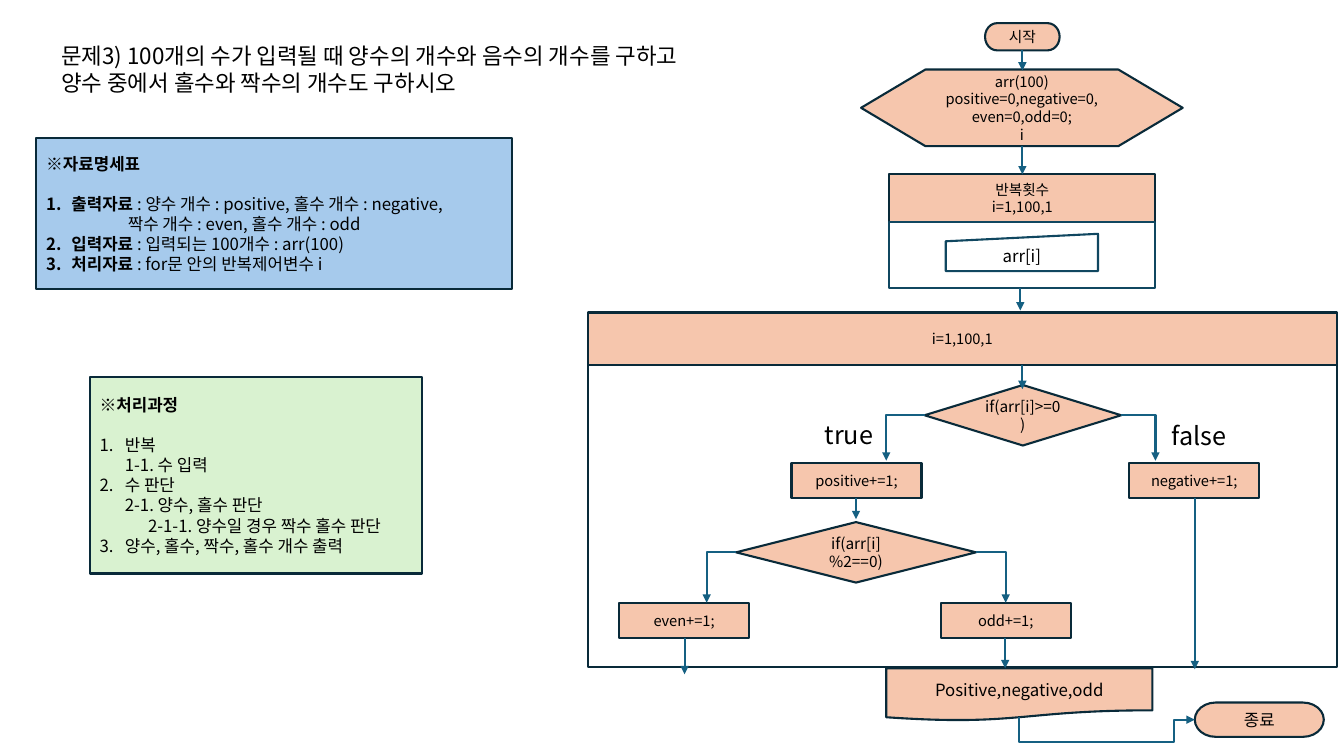
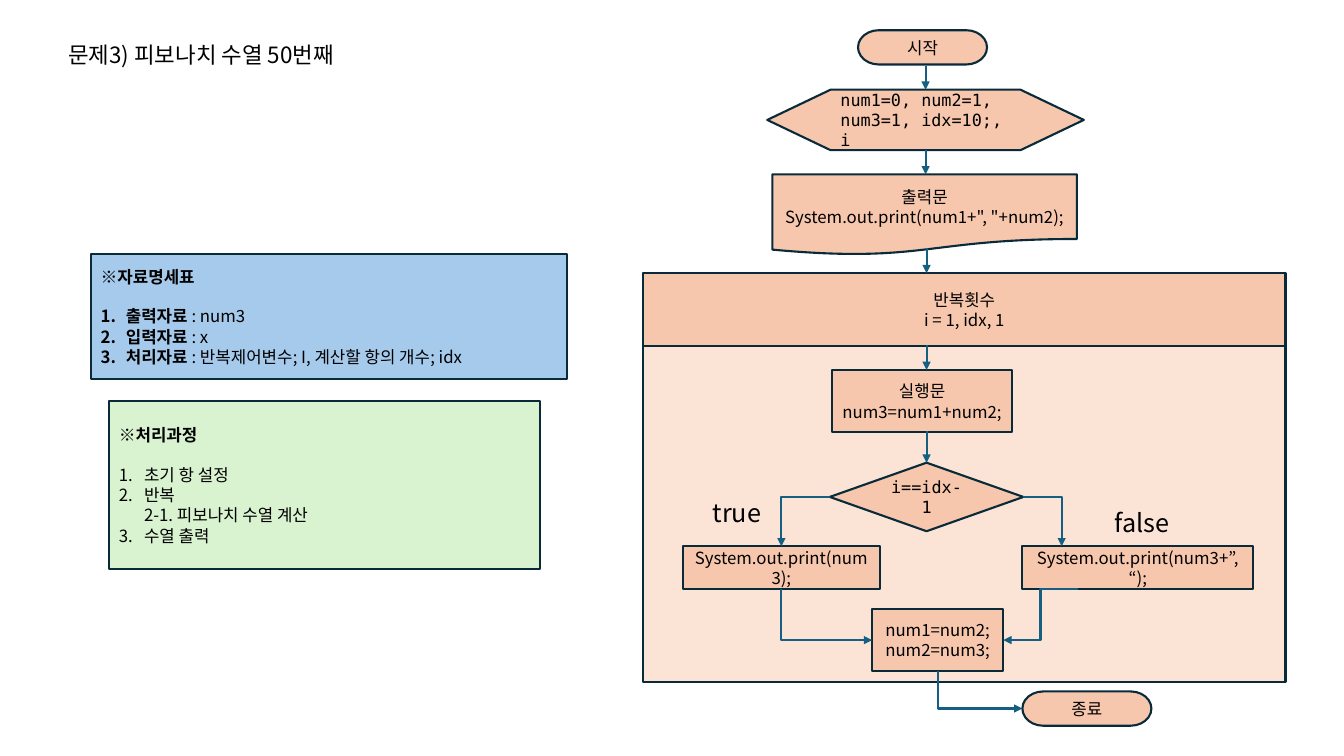
"""Build two flowchart slides with data and process notes."""
from lxml import etree
from pptx import Presentation
from pptx.dml.color import RGBColor
from pptx.enum.shapes import MSO_CONNECTOR, MSO_SHAPE
from pptx.enum.text import PP_ALIGN
from pptx.oxml.ns import qn
from pptx.util import Pt

PX = 9144
SANS, MONO = "Noto Sans CJK KR", "DejaVu Sans Mono"
BLACK, NAVY, TEAL, DEEP_TEAL = "000000", "092A39", "156082", "104760"
PEACH, PALE_PEACH, BLUE, GREEN = "F6C6AD", "FBE3D6", "A6CAEC", "D9F2D0"
LEFT, CENTER = PP_ALIGN.LEFT, PP_ALIGN.CENTER
STRAIGHT, ELBOW = MSO_CONNECTOR.STRAIGHT, MSO_CONNECTOR.ELBOW
PROCESS = MSO_SHAPE.RECTANGLE
TERMINATOR = MSO_SHAPE.FLOWCHART_TERMINATOR
PREPARATION = MSO_SHAPE.FLOWCHART_PREPARATION
DECISION = MSO_SHAPE.FLOWCHART_DECISION
DOCUMENT = MSO_SHAPE.FLOWCHART_DOCUMENT
MANUAL_INPUT = MSO_SHAPE.FLOWCHART_MANUAL_INPUT
SITE_TOP, SITE_LEFT, SITE_BOTTOM, SITE_RIGHT = range(4)
CORNER, DOUBLE_CORNER = "bentConnector2", "bentConnector4"


def emu(px):
    """Turn px into EMU."""
    return round(px * PX)


def rgb(hex_code):
    """Turn a hex string into a colour."""
    return RGBColor.from_string(hex_code)


def set_font(paragraph, size, face=SANS, bold=False):
    """Give a paragraph its font."""
    font = paragraph.font
    font.size, font.name, font.bold = Pt(size), face, bold
    font.color.rgb = rgb(BLACK)
    etree.SubElement(font._element, qn("a:ea"), typeface=face)


def step(slide, preset, area, text="", size=12, fill=PEACH, line=NAVY,
         face=SANS, align=CENTER):
    """Add one outlined flowchart symbol with its text."""
    symbol = slide.shapes.add_shape(preset, *map(emu, area))
    symbol.shadow.inherit = False
    if fill:
        symbol.fill.solid()
        symbol.fill.fore_color.rgb = rgb(fill)
    else:
        symbol.fill.background()
    symbol.line.color.rgb = rgb(line)
    symbol.line.width = Pt(1.5)
    if text:
        symbol.text_frame.text = text
        for paragraph in symbol.text_frame.paragraphs:
            paragraph.alignment = align
            set_font(paragraph, size, face)
    return symbol


def caption(slide, area, text, size):
    """Add unframed text, such as a title or a branch label."""
    frame = slide.shapes.add_textbox(*map(emu, area)).text_frame
    frame.word_wrap = True
    frame.text = text
    for paragraph in frame.paragraphs:
        set_font(paragraph, size)


def indent(paragraph, margin, number=None):
    """Indent a note line and number it if a number is given."""
    props = paragraph._p.get_or_add_pPr()
    props.set("marL", str(emu(margin)))
    props.set("indent", str(emu(-25 if number else 0)))
    if number:
        etree.SubElement(props, qn("a:buFont"), typeface="+mj-lt")
        etree.SubElement(props, qn("a:buAutoNum"), type="arabicPeriod",
                         startAt=str(number))


def note(slide, area, fill, heading, items):
    """Add a panel with a heading and numbered (label, text, sublines) items."""
    frame = step(slide, PROCESS, area, heading, fill=fill, align=LEFT).text_frame
    first = frame.paragraphs[0]
    first.font.bold = True
    first.space_after = Pt(14)
    for number, (label, text, sublines) in enumerate(items, 1):
        paragraph = frame.add_paragraph()
        paragraph.alignment = LEFT
        indent(paragraph, 25, number)
        set_font(paragraph, 12)
        if label:
            paragraph.add_run().text = label + " "
            paragraph.runs[0].font.bold = True
        paragraph.add_run().text = text
        for margin, subtext in sublines:
            subline = frame.add_paragraph()
            subline.text = subtext
            subline.alignment = LEFT
            indent(subline, margin)
            set_font(subline, 12)


def turn_down(link, start, end):
    """Make a bent arrow leave downwards and arrive from the left."""
    (x1, y1), (x2, y2) = start, end
    across, down = x2 - x1, y2 - y1
    link.left = emu((x1 + x2 - down) / 2)
    link.top = emu((y1 + y2 - across) / 2)
    link.width, link.height = emu(down), emu(across)
    frame = link._element.spPr.find(qn("a:xfrm"))
    frame.attrib.update({"rot": "16200000", "flipH": "1", "flipV": "0"})


def arrow(slide, start, end, bend=None, origin=None, target=None,
          down_first=False, adjust=()):
    """Add an arrow, straight or bent, glued to the given (symbol, site) ends."""
    link = slide.shapes.add_connector(
        ELBOW if bend else STRAIGHT, *map(emu, start + end))
    if origin:
        link.begin_connect(*origin)
    if target:
        link.end_connect(*target)
    if down_first:
        turn_down(link, start, end)
    link.line.color.rgb = rgb(TEAL)
    link.line.width = Pt(1.5)
    props = link._element.spPr
    etree.SubElement(props.find(qn("a:ln")), qn("a:tailEnd"), type="triangle")
    etree.SubElement(props, qn("a:effectLst"))
    if bend:
        geometry = props.find(qn("a:prstGeom"))
        geometry.set("prst", bend)
        for index, share in enumerate(adjust, 1):
            etree.SubElement(geometry.find(qn("a:avLst")), qn("a:gd"),
                             name=f"adj{index}", fmla=f"val {round(share * 100000)}")


def drops(slide, lines):
    """Add vertical arrows given as (x, top, bottom)."""
    for x, top, bottom in lines:
        arrow(slide, (x, top), (x, bottom))


def counting_slide(slide):
    """Draw the flowchart that counts signs and parities."""
    caption(slide, (51, 37, 702, 64),
            "문제3) 100개의 수가 입력될 때 양수의 개수와 음수의 개수를 구하고\n"
            "양수 중에서 홀수와 짝수의 개수도 구하시오", 16)
    note(slide, (36, 137, 472, 150), BLUE, "※자료명세표", [
        ("출력자료", ": 양수 개수 : positive, 홀수 개수 : negative,",
         [(81, "짝수 개수 : even, 홀수 개수 : odd")]),
        ("입력자료", ": 입력되는 100개수 : arr(100)", []),
        ("처리자료", ": for문 안의 반복제어변수 i", [])])
    note(slide, (89, 374, 330, 195), GREEN, "※처리과정", [
        ("", "반복", [(25, "1-1. 수 입력")]),
        ("", "수 판단", [(25, "2-1. 양수, 홀수 판단"),
                      (48, "2-1-1. 양수일 경우 짝수 홀수 판단")]),
        ("", "양수, 홀수, 짝수, 홀수 개수 출력", [])])

    step(slide, TERMINATOR, (977, 23, 74, 27), "시작", 10.5)
    step(slide, PREPARATION, (854, 69, 319, 76),
         "arr(100)\npositive=0,negative=0,\neven=0,odd=0;\ni", 10.5)
    step(slide, PROCESS, (882, 173, 264, 47), "반복횟수\ni=1,100,1", 10.5)
    step(slide, PROCESS, (882, 220, 264, 66), fill=None, line=DEEP_TEAL)
    step(slide, MANUAL_INPUT, (938, 232, 151, 37), "arr[i]",
         fill=None, line=DEEP_TEAL)
    step(slide, PROCESS, (583, 310, 743, 52), "i=1,100,1", 10.5)
    step(slide, PROCESS, (583, 362, 743, 300), fill=None)
    sign = step(slide, DECISION, (917, 382, 195, 60), "if(arr[i]>=0)", 11)
    parity = step(slide, DECISION, (730, 518, 238, 60), "if(arr[i]%2==0)", 11)
    for left, top, text in ((785, 459, "positive+=1;"), (1120, 459, "negative+=1;"),
                            (614, 598, "even+=1;")):
        step(slide, PROCESS, (left, top, 129, 35), text, 10.5)
    odd = step(slide, PROCESS, (933, 598, 129, 35), "odd+=1;", 10.5)
    counts = step(slide, DOCUMENT, (879, 663, 264, 52), "Positive,negative,odd")
    finish = step(slide, TERMINATOR, (1185, 697, 128, 34), "종료")
    caption(slide, (808, 411, 97, 40), "true", 18)
    caption(slide, (1152, 412, 97, 40), "false", 18)

    drops(slide, [(1014, 50, 70), (1014, 145, 173), (1012, 286, 308),
                  (1014, 362, 386), (849, 494, 515), (679, 633, 669),
                  (997, 633, 663), (1185, 494, 664)])
    arrow(slide, (917, 412), (879, 457), CORNER, (sign, SITE_LEFT))
    arrow(slide, (1112, 412), (1146, 457), CORNER, (sign, SITE_RIGHT))
    arrow(slide, (730, 548), (701, 598), CORNER, (parity, SITE_LEFT))
    arrow(slide, (968, 548), (997, 598), CORNER, (parity, SITE_RIGHT),
          (odd, SITE_TOP))
    arrow(slide, (1011, 711), (1185, 714), DOUBLE_CORNER, (counts, SITE_BOTTOM),
          (finish, SITE_LEFT), down_first=True, adjust=(8.33, 0.88))


def fibonacci_slide(slide):
    """Draw the flowchart that prints the Fibonacci sequence."""
    caption(slide, (58, 36, 472, 37), "문제3) 피보나치 수열 50번째", 16)
    note(slide, (90, 252, 472, 124), BLUE, "※자료명세표", [
        ("출력자료", ": num3", []),
        ("입력자료", ": x", []),
        ("처리자료", ": 반복제어변수; I, 계산할 항의 개수; idx", [])])
    note(slide, (108, 398, 428, 167), GREEN, "※처리과정", [
        ("", "초기 항 설정", []),
        ("", "반복", [(25, "2-1. 피보나치 수열 계산")]),
        ("", "수열 출력", [])])

    step(slide, PROCESS, (638, 287, 637, 390), fill=PALE_PEACH)
    step(slide, TERMINATOR, (851, 30, 128, 34), "시작")
    step(slide, PREPARATION, (761, 89, 314, 60),
         "num1=0, num2=1, num3=1, idx=10;, i", face=MONO, align=LEFT)
    step(slide, DOCUMENT, (766, 173, 302, 80),
         '출력문\nSystem.out.print(num1+", "+num2);')
    step(slide, PROCESS, (638, 271, 637, 72), "반복횟수\ni = 1, idx, 1")
    step(slide, PROCESS, (825, 367, 179, 62), "실행문\nnum3=num1+num2;")
    last = step(slide, DECISION, (823, 459, 192, 68), "i==idx-1", face=MONO)
    print_last = step(slide, PROCESS, (677, 542, 196, 42), "System.out.print(num3);")
    step(slide, PROCESS, (1014, 542, 229, 42), "System.out.print(num3+”, “);")
    swap = step(slide, PROCESS, (865, 604, 130, 62), "num1=num2;\nnum2=num3;")
    finish = step(slide, TERMINATOR, (1014, 686, 128, 34), "종료")
    caption(slide, (697, 488, 104, 40), "true", 18)
    caption(slide, (1096, 498, 104, 40), "false", 18)

    drops(slide, [(918, 65, 89), (918, 149, 173), (919, 246, 271),
                  (919, 342, 367), (919, 428, 459)])
    arrow(slide, (823, 493), (775, 542), CORNER, (last, SITE_LEFT),
          (print_last, SITE_TOP))
    arrow(slide, (1015, 493), (1053, 542), CORNER, (last, SITE_RIGHT))
    arrow(slide, (775, 584), (865, 635), CORNER, (print_last, SITE_BOTTOM),
          (swap, SITE_LEFT), down_first=True)
    arrow(slide, (1069, 584), (995, 635), "bentConnector3",
          target=(swap, SITE_RIGHT))
    arrow(slide, (930, 666), (1014, 703), CORNER, (swap, SITE_BOTTOM),
          (finish, SITE_LEFT), down_first=True)


def main():
    """Build and save the deck."""
    deck = Presentation()
    deck.slide_width, deck.slide_height = emu(1333), emu(750)
    for draw in (counting_slide, fibonacci_slide):
        draw(deck.slides.add_slide(deck.slide_layouts[6]))
    deck.save("out.pptx")


if __name__ == "__main__":
    main()
